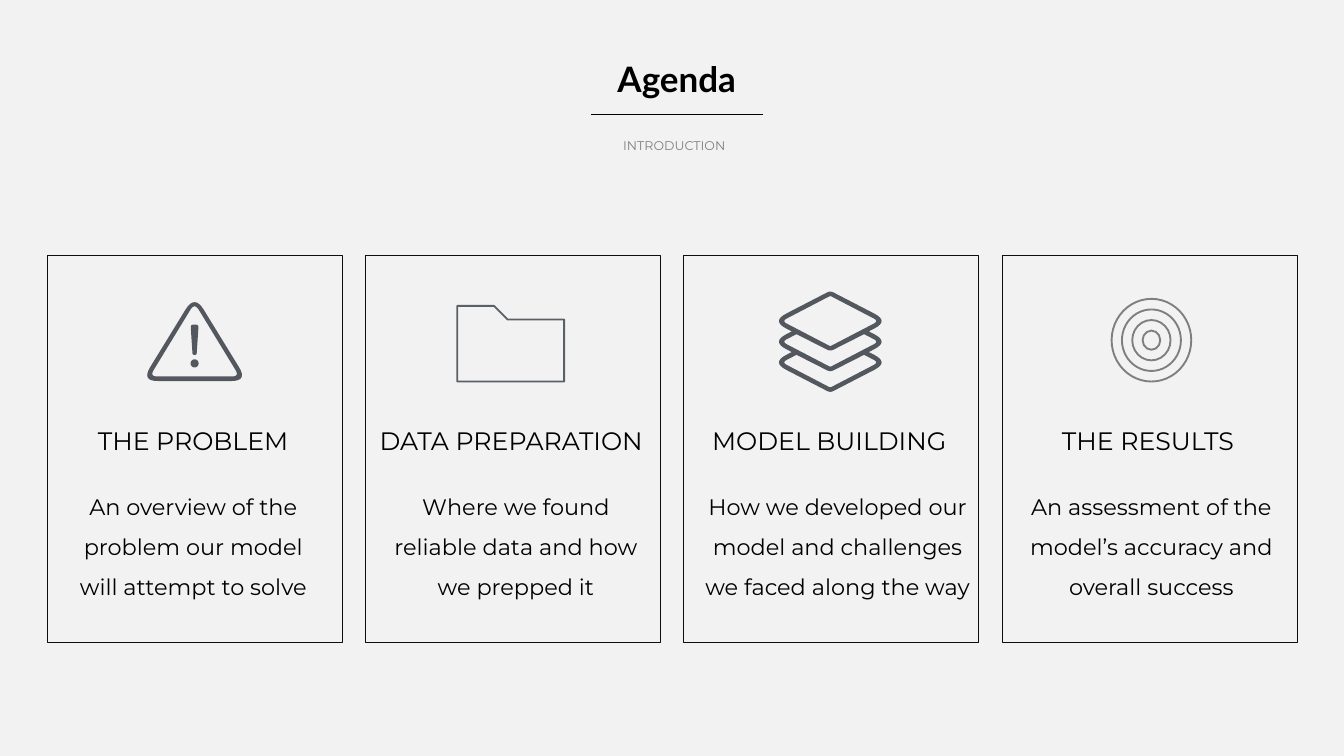
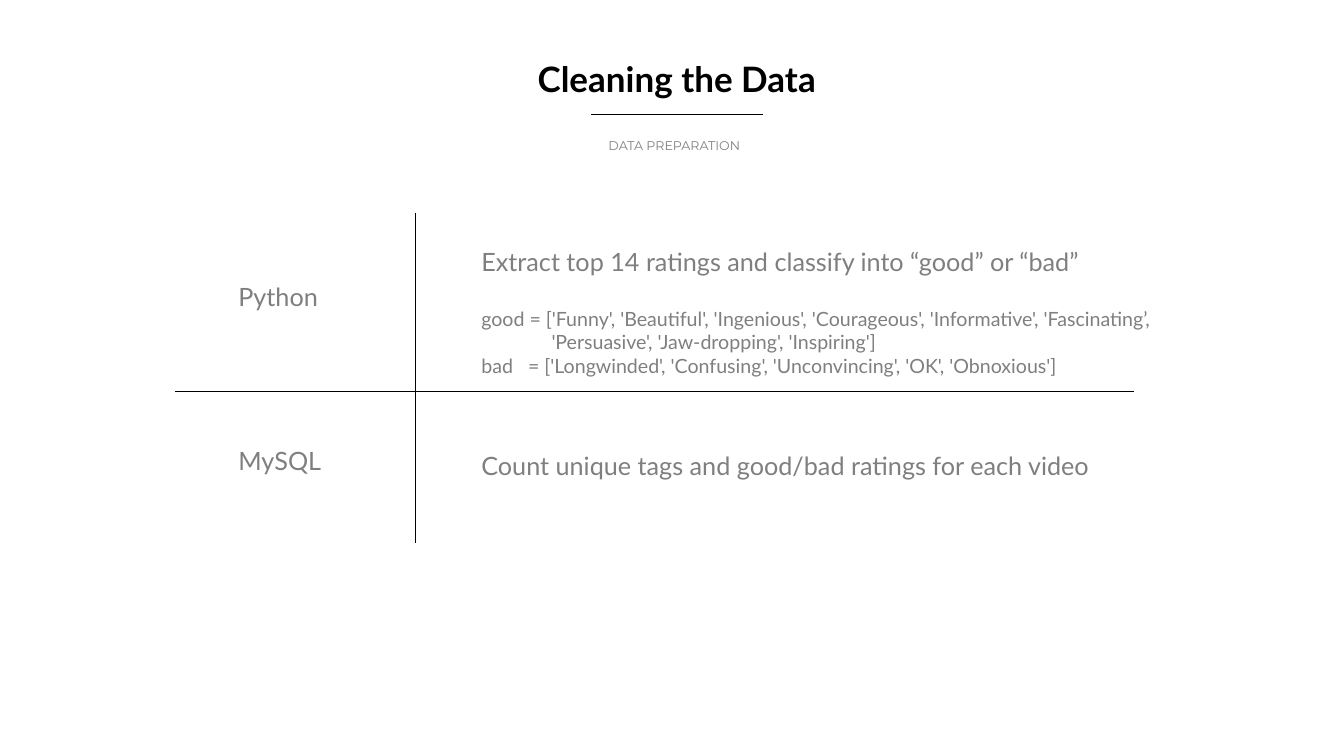
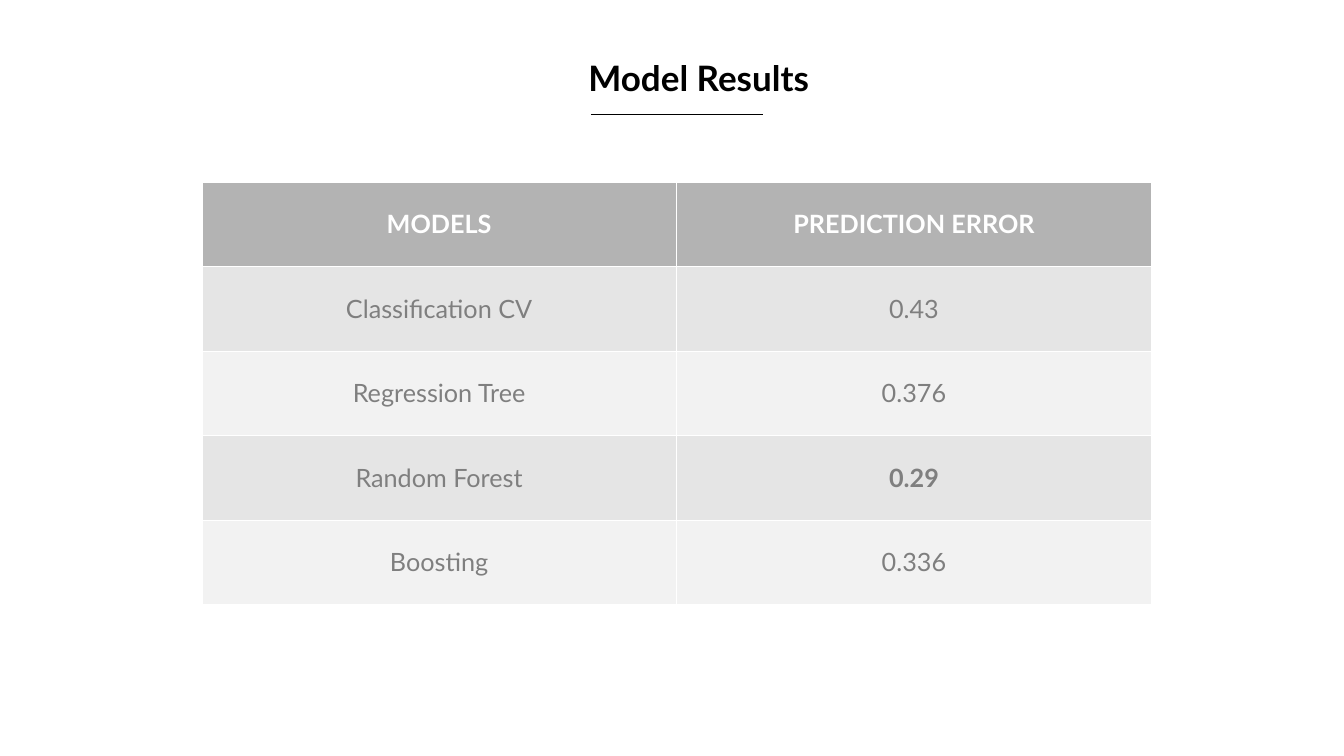
from math import cos, dist, pi, sin

from lxml.etree import SubElement
from pptx import Presentation
from pptx.dml.color import RGBColor
from pptx.enum.shapes import MSO_CONNECTOR, MSO_SHAPE
from pptx.enum.text import MSO_ANCHOR, MSO_AUTO_SIZE, PP_ALIGN
from pptx.oxml.ns import qn
from pptx.util import Emu, Pt

PX = 9144
WIDTH, HEIGHT = 2666, 1500
COLORS = {
    "black": "000000",
    "white": "FFFFFF",
    "gray": "7F7F7F",
    "pale": "F2F2F2",
    "band": "E5E5E5",
    "header": "B3B3B3",
    "frame": "0E0E0E",
    "icon": "53585F",
    "folder": "5B6067",
}
ICON_LINE = 2.69


def px(length):
    return Emu(round(length * PX))


def rgb(name):
    return RGBColor.from_string(COLORS[name])


def style_text(paragraph, size, color, face="Lato", bold=False, align=PP_ALIGN.LEFT):
    paragraph.alignment = align
    font = paragraph.font
    font.size, font.name, font.bold = Pt(size), face, bold
    font.color.rgb = rgb(color)


def add_text(slide, box, lines, size, color, wrap=True, spacing=None, **style):
    frame = slide.shapes.add_textbox(*map(px, box)).text_frame
    frame.word_wrap = wrap
    frame.auto_size = MSO_AUTO_SIZE.SHAPE_TO_FIT_TEXT
    frame.text = lines
    for paragraph in frame.paragraphs:
        style_text(paragraph, size, color, **style)
        if spacing:
            paragraph.line_spacing = spacing
    return frame


def add_rule(slide, x1, y1, x2, y2):
    rule = slide.shapes.add_connector(MSO_CONNECTOR.STRAIGHT, *map(px, (x1, y1, x2, y2)))
    rule.line.color.rgb = rgb("black")
    rule.line.width = Pt(0.5)
    SubElement(rule._element.spPr, qn("a:effectLst"))


def paint(shape, fill=None, line=None, width=1):
    shape.shadow.inherit = False
    if fill:
        shape.fill.solid()
        shape.fill.fore_color.rgb = rgb(fill)
    else:
        shape.fill.background()
    if line:
        shape.line.color.rgb = rgb(line)
        shape.line.width = Pt(width)
    else:
        shape.line.fill.background()


def add_preset(slide, preset, box, **look):
    paint(slide.shapes.add_shape(preset, *map(px, box)), **look)


def add_outline(slide, left, top, contours, **look):
    placed = [[(px(left + x), px(top + y)) for x, y in contour] for contour in contours]
    builder = slide.shapes.build_freeform(*placed[0][0])
    for number, contour in enumerate(placed):
        if number:
            builder.move_to(*contour[0])
        builder.add_line_segments(contour[1:], close=True)
    paint(builder.convert_to_shape(), **look)


def rounded(corners, steps=8):
    points = []
    for i, (x, y, cut) in enumerate(corners):
        if not cut:
            points.append((x, y))
            continue
        ends = []
        for nx, ny, _ in (corners[i - 1], corners[(i + 1) % len(corners)]):
            share = cut / dist((x, y), (nx, ny))
            ends.append((x + (nx - x) * share, y + (ny - y) * share))
        (ax, ay), (bx, by) = ends
        for step in range(steps + 1):
            t = step / steps
            a, c, b = (1 - t) ** 2, 2 * t * (1 - t), t * t
            points.append((a * ax + c * x + b * bx, a * ay + c * y + b * by))
    return points


def circle(cx, cy, radius, steps=24):
    angles = [2 * pi * step / steps for step in range(steps)]
    return [(cx + radius * cos(a), cy + radius * sin(a)) for a in angles]


def warning_icon(slide, left, top):
    add_outline(slide, left, top, [
        rounded([(91, -16, 34), (196, 155, 32), (-14, 155, 32)]),
        rounded([(91, 0, 16), (180, 146, 15), (2, 146, 15)]),
        rounded([(83, 43, 6), (99, 43, 6), (95, 103, 3), (87, 103, 3)]),
        circle(91, 120, 8),
    ], fill="icon")


def folder_icon(slide, left, top):
    tab = [(212, 27), (212, 150), (0, 150), (0, 0), (73, 0), (100, 27)]
    add_outline(slide, left, top, [tab], line="folder", width=ICON_LINE)


def layers_icon(slide, left, top):
    middle, first, pitch = 100, 59, 41
    half_w, half_h = 116, 60
    hole_w, hole_h = 96, 50
    notch = half_w * (1 - pitch / 2 / half_h)
    right = []
    for layer in range(3):
        y = first + pitch * layer
        right.append((half_w, y, 32))
        if layer < 2:
            right.append((notch + 0, y + pitch / 2, 0))
    left_side = [(-x, y, cut) for x, y, cut in reversed(right)]
    silhouette = [(0, first - half_h, 7), *right,
                  (0, first + 2 * pitch + half_h, 7), *left_side]
    top_hole = [(0, first - hole_h, 3), (hole_w, first, 11),
                (0, first + hole_h, 3), (-hole_w, first, 11)]
    holes = [top_hole]
    for layer in (1, 2):
        y = first + pitch * layer
        holes.append([(67, y - 15, 0), (hole_w, y, 11), (0, y + hole_h, 3),
                      (-hole_w, y, 11), (-67, y - 15, 0),
                      (0, y - pitch + half_h, 7)])
    contours = [[(middle + x, y) for x, y in rounded(part)] for part in (silhouette, *holes)]
    add_outline(slide, left, top, contours, fill="icon")


def target_icon(slide, left, top):
    for ring in range(4):
        width, height = 158 - 41 * ring, 164 - 42 * ring
        box = (left + 79 - width / 2, top + 82 - height / 2, width, height)
        add_preset(slide, MSO_SHAPE.OVAL, box, line="gray", width=ICON_LINE)


def add_heading(slide, title, section=None, box=(573, 109, 1539, 94)):
    add_text(slide, box, title, 50, "black", bold=True, align=PP_ALIGN.CENTER)
    add_rule(slide, 1172, 226, 1513, 226)
    if section:
        add_text(slide, (1195, 254, 285, 55), section, 18, "gray", wrap=False,
                 spacing=1.5, face="Montserrat", align=PP_ALIGN.CENTER)


def add_card(slide, left, top, topic, summary, summary_left, summary_width, icon, dx, dy):
    add_preset(slide, MSO_SHAPE.RECTANGLE, (left, top, 585, 768), line="frame")
    centred = {"face": "Montserrat", "align": PP_ALIGN.CENTER}
    add_text(slide, (left + summary_left, top + 439, summary_width, 250),
             summary, 32, "black", spacing=1.5, **centred)
    add_text(slide, (left + 14, top + 332, 550, 70), topic, 36, "black", wrap=False, **centred)
    icon(slide, left + dx, top + dy)


def agenda_slide(slide):
    add_preset(slide, MSO_SHAPE.RECTANGLE, (0, 0, WIDTH, HEIGHT), fill="pale")
    add_heading(slide, "Agenda", "INTRODUCTION")
    cards = [
        ("THE PROBLEM", "An overview of the problem our model will attempt to solve",
         23, 533, warning_icon, 201, 94),
        ("DATA PREPARATION", "Where we found reliable data and how we prepped it",
         32, 533, folder_icon, 182, 100),
        ("MODEL BUILDING", "How we developed our model and challenges we faced along the way",
         26, 559, layers_icon, 191, 71),
        ("THE RESULTS", "An assessment of the model’s accuracy and overall success",
         31, 530, target_icon, 217, 86),
    ]
    for column, card in enumerate(cards):
        add_card(slide, 94 + 1894 * column // 3, 507, *card)


def add_tool_grid(slide, left, top, width, height):
    add_rule(slide, left, top + 355, left + width, top + 355)
    add_rule(slide, left + 477, top, left + 477, top + height)
    for tool, offset in (("Python", 132), ("MySQL", 456)):
        add_text(slide, (left + 116, top + offset, 551, 70), tool, 36, "gray")
    steps_left = left + 598
    extract = add_text(slide, (steps_left, top + 62, 1461, 317), "\n".join([
        "Extract top 14 ratings and classify into “good” or “bad”",
        "good = ['Funny', 'Beautiful', 'Ingenious', 'Courageous', 'Informative', 'Fascinating’,",
        "              'Persuasive', 'Jaw-dropping', 'Inspiring']",
        "bad   = ['Longwinded', 'Confusing', 'Unconvincing', 'OK', 'Obnoxious']",
    ]), 36, "gray")
    code = extract.paragraphs[1:]
    for line in code:
        line.font.size = Pt(28)
    code[0].space_before = Pt(43)
    add_text(slide, (steps_left, top + 466, 1461, 70),
             "Count unique tags and good/bad ratings for each video", 36, "gray")


def cleaning_slide(slide):
    add_heading(slide, "Cleaning the Data", "DATA PREPARATION")
    add_tool_grid(slide, 347, 422, 1902, 656)


def add_borders(cell, widths):
    properties = cell._tc.get_or_add_tcPr()
    for side, width in zip("LRTB", widths):
        border = SubElement(properties, qn(f"a:ln{side}"), w=str(Pt(width)))
        SubElement(SubElement(border, qn("a:solidFill")), qn("a:srgbClr"), val=COLORS["white"])


def add_results(slide, box, rows):
    table = slide.shapes.add_table(len(rows), 2, *map(px, box)).table
    table.horz_banding = False
    thin, thick = 0.45, 1.47
    for r, row in enumerate(rows):
        fill = "header" if r == 0 else "band" if r % 2 else "pale"
        for c, entry in enumerate(row):
            cell = table.cell(r, c)
            add_borders(cell, (thin, thin, thick if r == 1 else thin, thick if r == 0 else thin))
            cell.fill.solid()
            cell.fill.fore_color.rgb = rgb(fill)
            cell.vertical_anchor = MSO_ANCHOR.MIDDLE
            cell.text = entry
            style_text(cell.text_frame.paragraphs[0], 36, "gray" if r else "white",
                       bold=r == 0 or entry == "0.29", align=PP_ALIGN.CENTER)


def results_slide(slide):
    add_heading(slide, "Model Results", box=(842, 108, 1088, 94))
    add_results(slide, (400, 361, 1884, 838), [
        ("MODELS", "PREDICTION ERROR"),
        ("Classification CV", "0.43"),
        ("Regression Tree", "0.376"),
        ("Random Forest", "0.29"),
        ("Boosting", "0.336"),
    ])


def main():
    deck = Presentation()
    deck.slide_width, deck.slide_height = px(WIDTH), px(HEIGHT)
    for build in (agenda_slide, cleaning_slide, results_slide):
        build(deck.slides.add_slide(deck.slide_layouts[6]))
    deck.save("out.pptx")


if __name__ == "__main__":
    main()
